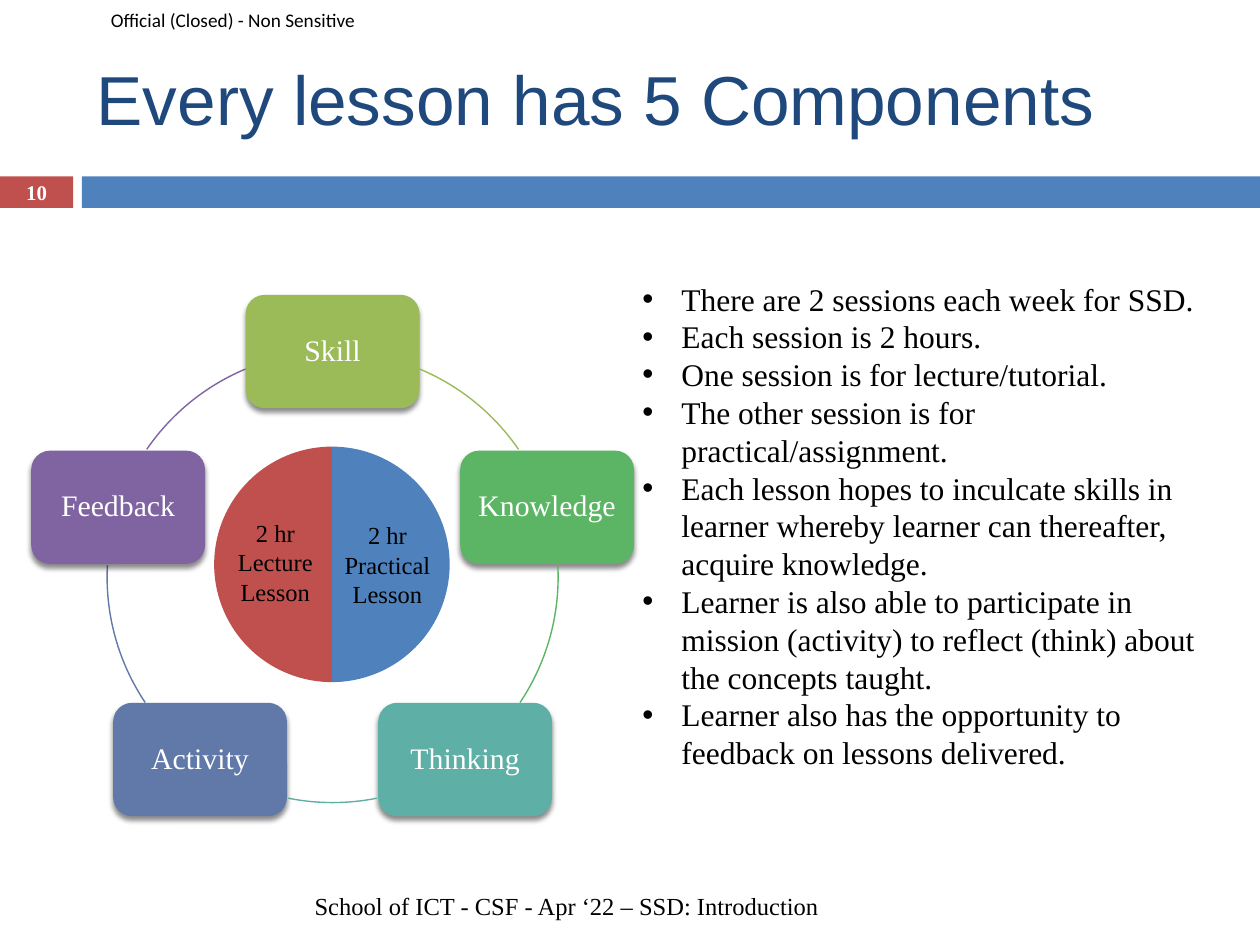
import math
import pptx
import pptx.chart.data
import pptx.dml.color
import pptx.enum.chart
import pptx.enum.shapes
import pptx.enum.text
import pptx.oxml
import pptx.oxml.ns
import pptx.util

Inches = pptx.util.Inches
Pt = pptx.util.Pt
RGB = pptx.dml.color.RGBColor
SHAPE = pptx.enum.shapes.MSO_SHAPE
ALIGN = pptx.enum.text.PP_ALIGN
MIDDLE = pptx.enum.text.MSO_ANCHOR.MIDDLE
TOP = pptx.enum.text.MSO_ANCHOR.TOP

RED = RGB(0xC0, 0x50, 0x4D)
BLUE = RGB(0x4F, 0x81, 0xBD)
NAVY = RGB(0x1F, 0x49, 0x7D)
BLACK = RGB(0, 0, 0)
WHITE = RGB(0xFF, 0xFF, 0xFF)
LIME = RGB(0x9B, 0xBB, 0x59)
GREEN = RGB(0x5C, 0xB5, 0x65)
TEAL = RGB(0x5E, 0xAF, 0xA6)
SLATE = RGB(0x61, 0x79, 0xA8)
PURPLE = RGB(0x80, 0x64, 0xA2)
SERIF = "Times New Roman"

# name, colour, start and end angle of the arc that follows the box
PARTS = [
    ("Skill", LIME, 292.7, 325.5),
    ("Knowledge", GREEN, 357, 33.8),
    ("Thinking", TEAL, 78.7, 101.3),
    ("Activity", SLATE, 146.2, 183),
    ("Feedback", PURPLE, 214.5, 247.3),
]
POINTS = [
    "There are 2 sessions each week for SSD.",
    "Each session is 2 hours.",
    "One session is for lecture/tutorial.",
    "The other session is for practical/assignment.",
    "Each lesson hopes to inculcate skills in learner whereby learner can "
    "thereafter, acquire knowledge.",
    "Learner is also able to participate in mission (activity) to reflect "
    "(think) about the concepts taught.",
    "Learner also has the opportunity to feedback on lessons delivered.",
]


def xml(parent, tag, **attrs):
    """Append a child element and return it."""
    node = parent.makeelement(pptx.oxml.ns.qn(tag), attrs)
    parent.append(node)
    return node


def write(para, text, size, color=BLACK, font=SERIF, bold=False):
    """Add one styled run to a paragraph."""
    run = para.add_run()
    run.text = text
    run.font.size = Pt(size)
    run.font.name = font
    run.font.bold = bold
    run.font.color.rgb = color


def label(slide, box, text, size, align=ALIGN.LEFT, anchor=MIDDLE, **style):
    """Place a one-paragraph text box and return its frame."""
    frame = slide.shapes.add_textbox(*map(Inches, box)).text_frame
    frame.word_wrap = True
    frame.vertical_anchor = anchor
    frame.paragraphs[0].alignment = align
    write(frame.paragraphs[0], text, size, **style)
    return frame


def solid(slide, kind, box, color):
    """Place a filled shape without line or shadow."""
    shape = slide.shapes.add_shape(kind, *map(Inches, box))
    shape.shadow.inherit = False
    shape.fill.solid()
    shape.fill.fore_color.rgb = color
    shape.line.fill.background()
    return shape


def header(slide, x, y, wide):
    """Draw the marking, the title and the numbered band."""
    mark = label(slide, (x, y, 3.01, 0.31), "Official (Closed) - Non Sensitive",
                 11, font="Calibri")
    mark.margin_left = Inches(0.88)
    mark.margin_right = mark.margin_top = mark.margin_bottom = 0
    label(slide, (x + 0.67, y + 0.3, 8.83, 0.95),
          "Every lesson has 5 Components", 39.6, color=NAVY, font="Arial")
    solid(slide, SHAPE.RECTANGLE, (x, y + 1.4, 0.58, 0.25), RED)
    solid(slide, SHAPE.RECTANGLE, (x + 0.65, y + 1.4, wide - 0.65, 0.25), BLUE)
    label(slide, (x, y + 1.39, 0.58, 0.27), "10", 11.9, ALIGN.CENTER,
          color=WHITE, bold=True)


def node(slide, box, text, color):
    """Draw one rounded box with its soft shadow."""
    shape = solid(slide, SHAPE.ROUNDED_RECTANGLE, box, color)
    effects = shape._element.spPr.find(pptx.oxml.ns.qn("a:effectLst"))
    shade = xml(effects, "a:outerShdw", blurRad=str(Pt(3)), dist=str(Pt(2.4)),
                dir="5400000", rotWithShape="0")
    tint = xml(shade, "a:srgbClr", val="000000")
    xml(tint, "a:alpha", val="45000")
    frame = shape.text_frame
    frame.word_wrap = True
    frame.vertical_anchor = MIDDLE
    para = frame.paragraphs[0]
    para.alignment = ALIGN.CENTER
    para.line_spacing = 0.9
    write(para, text, 17, WHITE)


def cycle(slide, x, y, size):
    """Draw the ring of five boxes joined by arcs in a square."""
    rad = size / 2
    wide, high = 1.38, 0.9
    for i, (text, color, start, end) in enumerate(PARTS):
        turn = math.radians(72 * i - 90)
        left = x + rad + rad * math.cos(turn) - wide / 2
        top = y + rad + rad * math.sin(turn) - high / 2
        node(slide, (left, top, wide, high), text, color)
        arc = slide.shapes.add_shape(SHAPE.ARC, *map(Inches, (x, y, size, size)))
        arc.shadow.inherit = False
        arc.fill.background()
        arc.line.color.rgb = color
        arc.line.width = Pt(0.79)
        # adjustments count 60000ths of a degree, scaled by 100000
        arc.adjustments[0] = start * 0.6
        arc.adjustments[1] = end * 0.6


def pie(slide, x, y, wide, high):
    """Draw the two-part pie and its labels."""
    data = pptx.chart.data.CategoryChartData()
    data.categories = ["1", "2"]
    data.add_series("Series 1", (50, 50))
    chart = slide.shapes.add_chart(
        pptx.enum.chart.XL_CHART_TYPE.PIE,
        *map(Inches, (x, y, wide, high)), data).chart
    chart.has_legend = False
    chart.has_title = False
    chart.font.size = Pt(18)
    chart.font.name = SERIF
    chart.font.color.rgb = BLACK
    plot = chart.plots[0]
    plot.vary_by_categories = True
    for i, color in enumerate((BLUE, RED)):
        point = plot.series[0].points[i].format
        point.fill.solid()
        point.fill.fore_color.rgb = color
        point.line.fill.background()
    area = chart._chartSpace.chart.plotArea
    for old in area.findall(pptx.oxml.ns.qn("c:layout")):
        area.remove(old)
    layout = xml(area, "c:layout")
    area.insert(0, layout)
    place = xml(layout, "c:manualLayout")
    disc = 1.87
    w, h = disc / wide, disc / high
    for tag, val in (("layoutTarget", "inner"), ("xMode", "edge"),
                     ("yMode", "edge"), ("x", (1 - w) / 2),
                     ("y", (1 - h) / 2), ("w", w), ("h", h)):
        xml(place, "c:" + tag, val=str(val))
    for dx, dy, text in ((1, 0.65, "2 hr Lecture Lesson"),
                         (1.89, 0.67, "2 hr Practical Lesson")):
        label(slide, (x + dx, y + dy, 0.89, 0.81), text, 14, ALIGN.CENTER, TOP)


def notes(slide, x, y, wide, high):
    """Place the bulleted list."""
    frame = slide.shapes.add_textbox(
        *map(Inches, (x, y, wide, high))).text_frame
    frame.word_wrap = True
    for i, text in enumerate(POINTS):
        para = frame.add_paragraph() if i else frame.paragraphs[0]
        props = para._p.get_or_add_pPr()
        props.set("marL", str(Inches(0.31)))
        props.set("indent", str(-Inches(0.31)))
        xml(props, "a:buFont", typeface="Arial")
        xml(props, "a:buChar", char="•")
        write(para, text, 18)


def main():
    """Build and save the slide."""
    deck = pptx.Presentation()
    deck.slide_width, deck.slide_height = Inches(10), Inches(7.5)
    slide = deck.slides.add_slide(deck.slide_layouts[6])
    header(slide, 0, 0, 10)
    cycle(slide, 0.85, 2.79, 3.58)
    pie(slide, 0.74, 3.41, 3.79, 2.14)
    notes(slide, 5, 2.17, 4.91, 4.34)
    label(slide, (0.67, 6.99, 5.93, 0.4),
          "School of ICT - CSF - Apr ‘22 – SSD: Introduction", 14, ALIGN.RIGHT)
    deck.save("out.pptx")


main()
